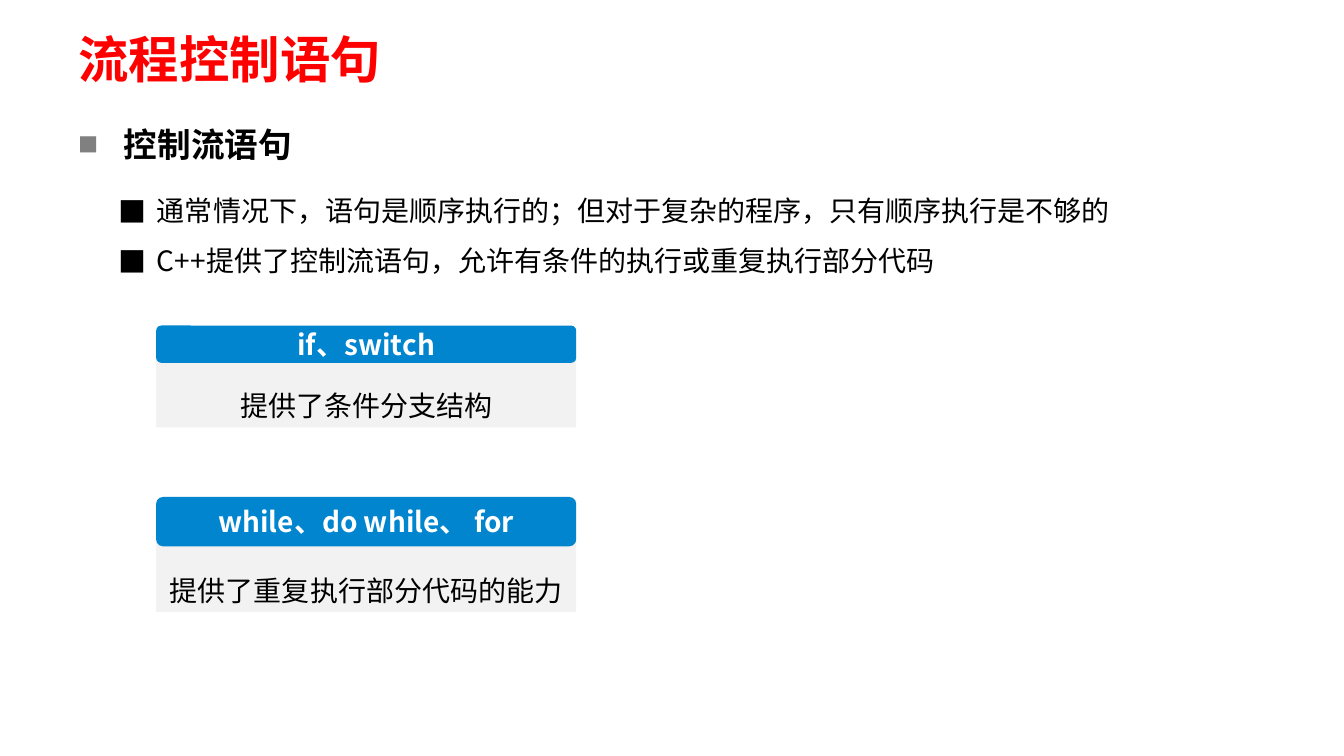
import pptx
import pptx.dml.color
import pptx.enum.shapes
import pptx.enum.text
import pptx.util
from lxml import etree
from pptx.oxml.ns import qn

Inches = pptx.util.Inches
RGBColor = pptx.dml.color.RGBColor
Shape = pptx.enum.shapes.MSO_SHAPE
Align = pptx.enum.text.PP_ALIGN
Anchor = pptx.enum.text.MSO_ANCHOR
AutoSize = pptx.enum.text.MSO_AUTO_SIZE

FONT = "Noto Sans CJK SC"
RED = RGBColor(0xFF, 0x00, 0x00)
BLACK = RGBColor(0x00, 0x00, 0x00)
WHITE = RGBColor(0xFF, 0xFF, 0xFF)
BLUE = RGBColor(0x01, 0x85, 0xCF)
PALE = RGBColor(0xF2, 0xF2, 0xF2)

HEADING_FRAME = {
    "word_wrap": True, "vertical_anchor": Anchor.MIDDLE,
    "margin_left": Inches(0.13), "margin_right": Inches(0.13),
    "margin_top": Inches(0.07), "margin_bottom": Inches(0.07),
}
POINTS_FRAME = {"word_wrap": False, "auto_size": AutoSize.SHAPE_TO_FIT_TEXT}
LABEL_FRAME = {"word_wrap": True, "vertical_anchor": Anchor.MIDDLE}
CARD_LEFT, CARD_WIDTH, CARD_HEIGHT = 1.55, 4.17, 0.77


def apply(target, values):
    for name, value in values.items():
        setattr(target, name, value)


def write(para, text, size, color, bold=False, **layout):
    """Fill one paragraph with a single formatted span."""
    apply(para, layout)
    span = para.add_run()
    span.text = text
    apply(span.font, {"name": FONT, "size": pptx.util.Pt(size), "bold": bold})
    span.font.color.rgb = color
    east_asian = etree.SubElement(span.font._element, qn("a:ea"))
    east_asian.set("typeface", FONT)


def add_bullet(para, indent, color=None, percent=None):
    properties = para._p.get_or_add_pPr()
    properties.set("marL", str(Inches(indent)))
    properties.set("indent", str(-Inches(indent)))
    if color:
        holder = etree.SubElement(properties, qn("a:buClr"))
        etree.SubElement(holder, qn("a:srgbClr")).set("val", color)
    if percent:
        etree.SubElement(properties, qn("a:buSzPct")).set("val", str(percent * 1000))
    etree.SubElement(properties, qn("a:buFont")).set("typeface", FONT)
    etree.SubElement(properties, qn("a:buChar")).set("char", "■")


def add_text_box(page, left, top, width, height, frame):
    box = page.shapes.add_textbox(*map(Inches, (left, top, width, height)))
    apply(box.text_frame, frame)
    return box.text_frame


def add_block(group, kind, top, height, color):
    block = group.shapes.add_shape(
        kind, *map(Inches, (CARD_LEFT, top, CARD_WIDTH, height)))
    block.shadow.inherit = False
    block.fill.solid()
    block.fill.fore_color.rgb = color
    block.line.fill.background()
    apply(block.text_frame, LABEL_FRAME)
    return block


def add_card(page, keywords, purpose, header_top, header_height, body_top):
    """A pale panel with a rounded keyword header over its top edge."""
    group = page.shapes.add_group_shape()
    body = add_block(group, Shape.RECTANGLE, body_top, CARD_HEIGHT, PALE)
    body.text_frame.auto_size = AutoSize.SHAPE_TO_FIT_TEXT
    write(body.text_frame.paragraphs[0], purpose, 20, BLACK,
          alignment=Align.CENTER, line_spacing=2.0)
    header = add_block(group, Shape.ROUNDED_RECTANGLE, header_top, header_height, BLUE)
    header.adjustments[0] = 0.14
    write(header.text_frame.paragraphs[0], keywords, 20, WHITE, True,
          alignment=Align.CENTER)


def main():
    deck = pptx.Presentation()
    apply(deck, {"slide_width": Inches(13.34), "slide_height": Inches(7.5)})
    page = deck.slides.add_slide(deck.slide_layouts[6])

    # Title
    title = add_text_box(page, 0.65, 0.28, 12.13, 0.59, HEADING_FRAME)
    write(title.paragraphs[0], "流程控制语句", 36, RED, True)

    # Section heading
    heading = add_text_box(page, 0.65, 0.99, 12.13, 0.71, HEADING_FRAME)
    add_bullet(heading.paragraphs[0], 0.45, "808080", 60)
    write(heading.paragraphs[0], "控制流语句", 24, BLACK, True, line_spacing=1.4)

    # Points
    points = add_text_box(page, 1.08, 1.7, 10.12, 1.11, POINTS_FRAME)
    points.add_paragraph()
    texts = ("通常情况下，语句是顺序执行的；但对于复杂的程序，只有顺序执行是不够的",
             "C++提供了控制流语句，允许有条件的执行或重复执行部分代码")
    for para, text in zip(points.paragraphs, texts):
        add_bullet(para, 0.38)
        write(para, text, 20, BLACK, line_spacing=1.5)

    # Statement cards
    add_card(page, "if、switch", "提供了条件分支结构", 3.23, 0.37, 3.47)
    add_card(page, "while、do while、 for", "提供了重复执行部分代码的能力", 4.93, 0.49, 5.3)

    deck.save("out.pptx")


if __name__ == "__main__":
    main()
